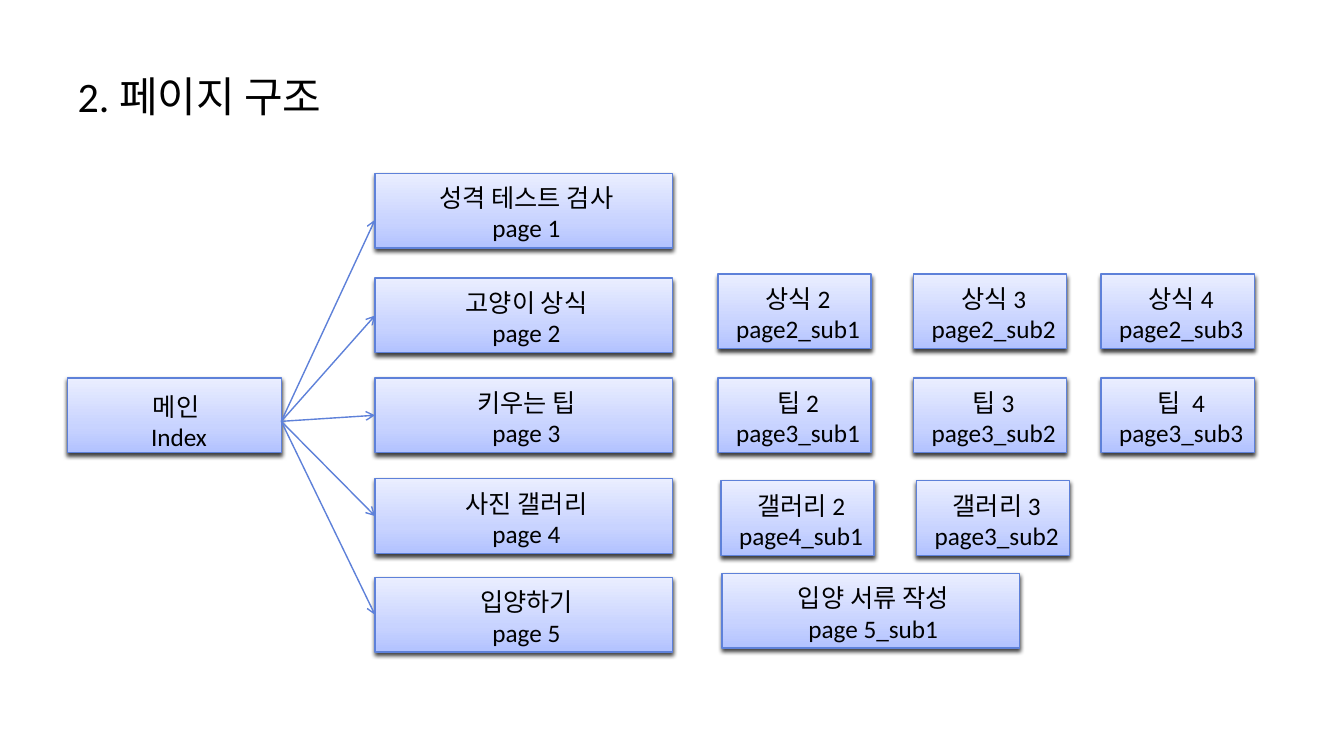
import copy
from dataclasses import dataclass

import lxml.etree
import pptx
import pptx.dml.color
import pptx.enum.shapes
import pptx.enum.text
import pptx.oxml
import pptx.oxml.ns
import pptx.util

Inches = pptx.util.Inches
Pt = pptx.util.Pt
RGB = pptx.dml.color.RGBColor.from_string
qn = pptx.oxml.ns.qn


@dataclass(frozen=True)
class Theme:
    font: str = "Calibri"
    text: str = "000000"
    line: str = "5E81D9"
    gradient: tuple = ((0, "B2C2FF"), (0.35, "C8D3FF"), (1, "EAEEFF"))
    title_size: int = 30
    box_size: int = 18


theme = Theme()
BOX_HEIGHT = 0.74
MAIN_LEFT, MAIN_TOP, MAIN_WIDTH = 0.67, 3.75, 2.12
PAGE_LEFT, PAGE_WIDTH = 3.72, 2.95
SUB_COLUMNS, SUB_WIDTH = (7.12, 9.06, 10.92), 1.52
ARROW_START = (MAIN_LEFT + MAIN_WIDTH, 4.18)
SHADOW = (
    '<a:outerShdw xmlns:a="http://schemas.openxmlformats.org/drawingml/2006/main" '
    'blurRad="38100" dist="25400" dir="5400000" rotWithShape="0">'
    '<a:srgbClr val="000000"><a:alpha val="75000"/></a:srgbClr></a:outerShdw>'
)

page_rows = [
    (1.72, "성격 테스트 검사", "page 1"),
    (2.76, "고양이 상식", "page 2"),
    (3.75, "키우는 팁", "page 3"),
    (4.75, "사진 갤러리", "page 4"),
    (5.73, "입양하기", "page 5"),
]
sub_rows = [
    (2.72, 0, [("상식 2", "page2_sub1"), ("상식 3", "page2_sub2"), ("상식 4", "page2_sub3")]),
    (3.75, 0, [("팁 2", "page3_sub1"), ("팁 3", "page3_sub2"), ("팁  4", "page3_sub3")]),
    (4.77, 0.03, [("갤러리 2", "page4_sub1"), ("갤러리 3", "page3_sub2")]),
]

presentation = pptx.Presentation()
presentation.slide_width = Inches(13.33)
presentation.slide_height = Inches(7.5)
slide = presentation.slides.add_slide(presentation.slide_layouts[5])


def add_run(paragraph, text, size):
    run = paragraph.add_run()
    run.text = text
    run.font.name = theme.font
    run.font.size = Pt(size)
    run.font.color.rgb = RGB(theme.text)


def add_box(left, top, width, lines, insets=(0.15, 0.09, 0.1)):
    shape = slide.shapes.add_shape(
        pptx.enum.shapes.MSO_SHAPE.RECTANGLE,
        Inches(left), Inches(top), Inches(width), Inches(BOX_HEIGHT),
    )
    shape.fill.gradient()
    shape.fill.gradient_angle = 90
    stop_list = shape._element.spPr.find(qn("a:gradFill")).find(qn("a:gsLst"))
    stop_list.append(copy.deepcopy(stop_list[0]))
    for stop, (position, color) in zip(shape.fill.gradient_stops, theme.gradient):
        stop.position = position
        stop.color.rgb = RGB(color)
    shape.line.color.rgb = RGB(theme.line)
    shape.line.width = Pt(1)
    shape.shadow.inherit = False
    effects = shape._element.spPr.find(qn("a:effectLst"))
    effects.append(pptx.oxml.parse_xml(SHADOW))

    frame = shape.text_frame
    frame.word_wrap = True
    frame.vertical_anchor = pptx.enum.text.MSO_ANCHOR.TOP
    frame.margin_left, frame.margin_top, frame.margin_right = map(Inches, insets)
    frame.margin_bottom = 0
    for index, text in enumerate(lines):
        paragraph = frame.add_paragraph() if index else frame.paragraphs[0]
        paragraph.alignment = pptx.enum.text.PP_ALIGN.CENTER
        add_run(paragraph, text, theme.box_size)
    return shape


title = slide.shapes.title
title.left, title.top, title.width, title.height = map(Inches, (0.67, 0.32, 12, 1.25))
title.text_frame.vertical_anchor = pptx.enum.text.MSO_ANCHOR.MIDDLE
title_paragraph = title.text_frame.paragraphs[0]
title_paragraph.alignment = pptx.enum.text.PP_ALIGN.LEFT
add_run(title_paragraph, "2. 페이지 구조", theme.title_size)

add_box(MAIN_LEFT, MAIN_TOP, MAIN_WIDTH, ("메인 ", "Index"), (0.2, 0.13, 0.11))

for row, (top, name, page) in enumerate(page_rows):
    page_box = add_box(PAGE_LEFT, top, PAGE_WIDTH, (name, page))
    arrow = slide.shapes.add_connector(
        pptx.enum.shapes.MSO_CONNECTOR.STRAIGHT,
        *map(Inches, (*ARROW_START, PAGE_LEFT, 2.18)),
    )
    if row > 0:
        arrow.end_connect(page_box, 1)
    arrow.line.color.rgb = RGB(theme.line)
    arrow.line.width = Pt(1)
    line = arrow.line._get_or_add_ln()
    lxml.etree.SubElement(line, qn("a:tailEnd"), type="arrow")
    lxml.etree.SubElement(arrow._element.spPr, qn("a:effectLst"))

for top, shift, boxes in sub_rows:
    for left, lines in zip(SUB_COLUMNS, boxes):
        add_box(left + shift, top, SUB_WIDTH, lines, (0.15, 0.09, 0.08))

add_box(7.16, 5.69, PAGE_WIDTH, ("입양 서류 작성", "page 5_sub1"))

presentation.save("out.pptx")
